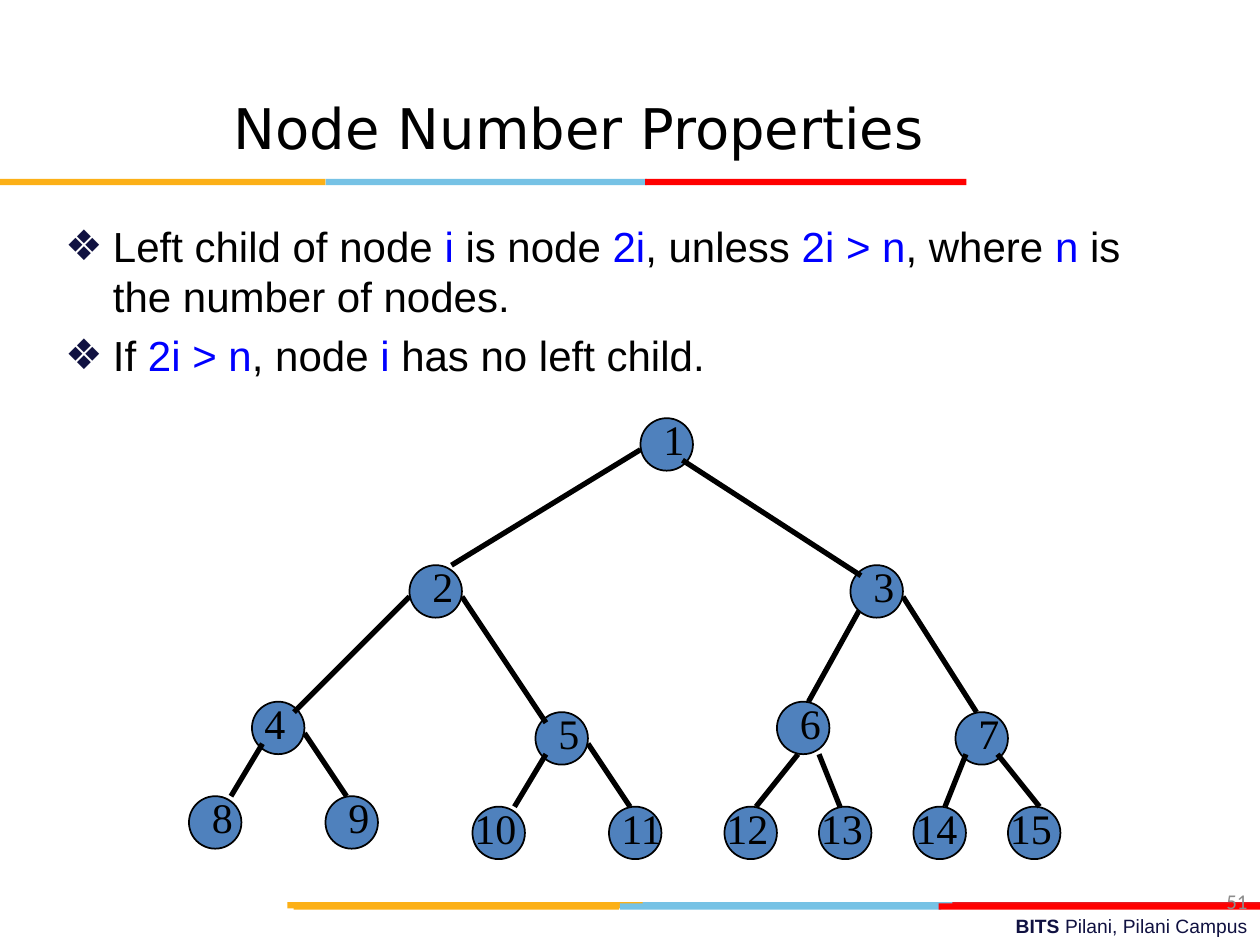
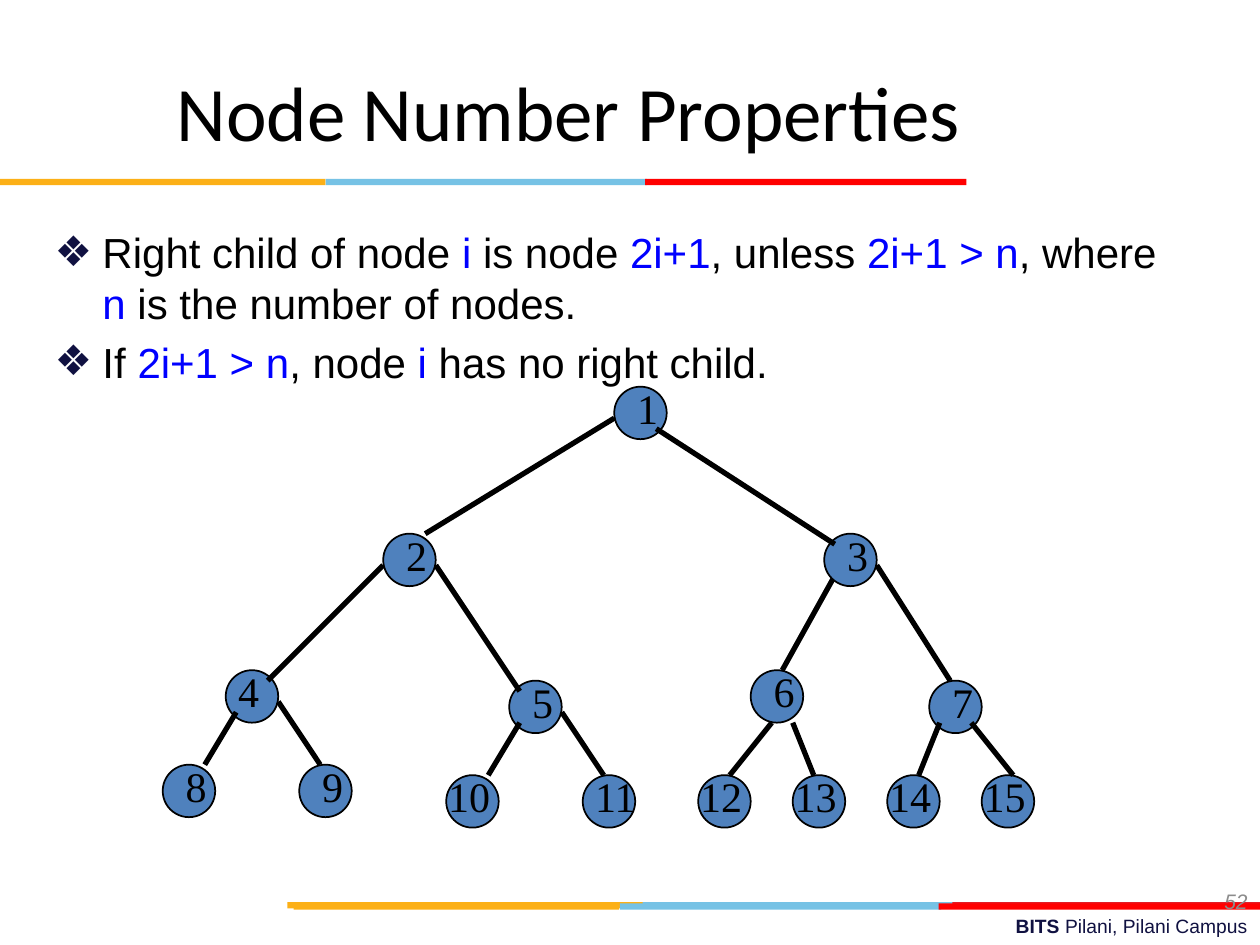
from dataclasses import dataclass

from lxml import etree
from pptx import Presentation
from pptx import util as u
from pptx.dml.color import RGBColor
from pptx.enum import shapes, text
from pptx.oxml.ns import qn

COLS, ROWS = 120, 90
CELL = u.Inches(10) / COLS
AMBER, SKY, RED, CRIMSON = "FCB017", "76C2E5", "FF0000", "E31C24"
NAVY, BLACK, BLUE, GREY, NODE_FILL = "101141", "000000", "0000FF", "8C8C8C", "4F81BD"
NODE_SIZE = 5
STRIP_HEIGHT = 0.6


@dataclass(frozen=True)
class Strip:
    col: float
    row: float
    width: float
    color: str


@dataclass(frozen=True)
class Node:
    col: float
    row: float
    label_shift: float = 1
    entry: tuple = (0, 0)
    exits: tuple = ()


@dataclass(frozen=True)
class Page:
    number: str
    number_font: str
    number_italic: bool
    title_font: str
    title_size: float
    title_at: tuple
    body_at: tuple
    side: str
    child: str
    tree_at: tuple


STRIPS = (
    Strip(60.72, 85.92, 30.6, SKY),
    Strip(90.72, 85.92, 29.28, CRIMSON),
    Strip(27.36, 85.92, 33.84, AMBER),
    Strip(59.04, 86.04, 30.6, SKY),
    Strip(27.96, 86.04, 31, AMBER),
    Strip(89.4, 86.04, 30.6, RED),
    Strip(31, 17.04, 30.6, SKY),
    Strip(0, 17.04, 31, AMBER),
    Strip(61.44, 17.04, 30.6, RED),
)

NODES = {
    1: Node(61, 40, exits=((0, 3), (4, 4))),
    2: Node(39, 54, entry=(4, 0), exits=((0, 3), (5, 3))),
    3: Node(81, 54, entry=(1, 1), exits=((1, 4), (5, 3))),
    4: Node(24, 67, 0, entry=(4, 1), exits=((1, 4), (5, 3))),
    5: Node(51, 68, entry=(1, 1), exits=((1, 4), (5, 3))),
    6: Node(74, 67, entry=(3, 0), exits=((2, 5), (4, 5))),
    7: Node(91, 68, entry=(2, 0), exits=((1, 4), (4, 4))),
    8: Node(18, 76, entry=(4, 0)),
    9: Node(31, 76, entry=(2, 0)),
    10: Node(45, 77, -1, entry=(4, 0)),
    11: Node(58, 77, 0, entry=(2, 0)),
    12: Node(69, 77, -1, entry=(3, 0)),
    13: Node(78, 77, -1, entry=(2, 0)),
    14: Node(87, 77, -1, entry=(3, 0)),
    15: Node(96, 77, -1, entry=(3, 0)),
}

LAYERS = (
    (range(4, 8), range(2, 4)),
    (range(1, 4), range(1, 2)),
    (range(8, 16), range(4, 8)),
)

PAGES = (
    Page("51", "Calibri", False, "DejaVu Sans", 32, (5, 6.12), (5, 20.4),
         "Left", "2i", (0, -0.17)),
    Page("52", "Arial", True, "Calibri", 44, (4, 4.56), (4, 21),
         "Right", "2i+1", (-2.5, -3.17)),
)


def grid(*cells: float) -> list:
    return [u.Emu(round(c * CELL)) for c in cells]


def rgb(color: str) -> RGBColor:
    return RGBColor.from_string(color)


def style(r, font: str, size: float, color: str, bold: bool = False, italic: bool = False) -> None:
    r.font.name, r.font.size = font, u.Pt(size)
    r.font.bold, r.font.italic = bold, italic
    r.font.color.rgb = rgb(color)


def place(sp, col: float, row: float, width: float, height: float) -> None:
    sp.left, sp.top, sp.width, sp.height = grid(col, row, width, height)


def add_filled(parent, kind, at: tuple, color: str):
    sp = parent.add_shape(kind, *grid(*at))
    sp.shadow.inherit = False
    sp.fill.solid()
    sp.fill.fore_color.rgb = rgb(color)
    sp.line.fill.background()
    return sp


def add_text(parent, at: tuple, align=text.PP_ALIGN.LEFT, anchor=text.MSO_ANCHOR.TOP):
    tf = parent.add_textbox(*grid(*at)).text_frame
    tf.word_wrap = True
    tf.vertical_anchor = anchor
    p = tf.paragraphs[0]
    p.alignment = align
    return p


def add_run(p, words: str, font: str, size: float, color: str, **look: bool) -> None:
    r = p.add_run()
    r.text = words
    style(r, font, size, color, **look)


def add_furniture(s, page: Page) -> None:
    for strip in STRIPS:
        at = (strip.col, strip.row, strip.width, STRIP_HEIGHT)
        add_filled(s.shapes, shapes.MSO_SHAPE.RECTANGLE, at, strip.color)
    p = add_text(s.shapes, (43, 86.5, 77, 3.5), text.PP_ALIGN.RIGHT)
    add_run(p, "BITS ", "Arial", 11, NAVY, bold=True)
    add_run(p, "Pilani, Pilani Campus", "Arial", 11, NAVY)
    p = add_text(s.shapes, (92, 83.4, 28, 4.8), text.PP_ALIGN.RIGHT, text.MSO_ANCHOR.MIDDLE)
    add_run(p, page.number, page.number_font, 12, GREY, italic=page.number_italic)


def set_title(s, page: Page) -> None:
    sp = s.shapes.title
    place(sp, *page.title_at, 102, 12)
    tf = sp.text_frame
    tf.text = "Node Number Properties "
    tf.auto_size = text.MSO_AUTO_SIZE.NONE
    tf.vertical_anchor = text.MSO_ANCHOR.MIDDLE
    p = tf.paragraphs[0]
    p.alignment = text.PP_ALIGN.CENTER
    style(p.runs[0], page.title_font, page.title_size, BLACK)


def add_bullet(p) -> None:
    pPr = p._p.get_or_add_pPr()
    hang = u.Inches(0.38)
    pPr.set("marL", str(hang))
    pPr.set("indent", str(-hang))
    clr = etree.SubElement(pPr, qn("a:buClr"))
    etree.SubElement(clr, qn("a:srgbClr")).set("val", NAVY)
    etree.SubElement(pPr, qn("a:buFont")).set("typeface", "Arial")
    etree.SubElement(pPr, qn("a:buChar")).set("char", "❖")


def set_body(s, page: Page) -> None:
    sp = s.placeholders[1]
    place(sp, *page.body_at, 108, 59.4)
    tf = sp.text_frame
    tf.auto_size = text.MSO_AUTO_SIZE.NONE
    rules = (
        f"{page.side} child of node |i |is node |{page.child}|, unless "
        f"|{page.child} > n|, where |n| is the number of nodes.",
        f"If |{page.child} > n|, node |i| has no {page.side.lower()} child.",
    )
    for i, rule in enumerate(rules):
        p = tf.add_paragraph() if i else tf.paragraphs[0]
        add_bullet(p)
        p.space_before = u.Pt(4.8 if i else 0)
        for j, words in enumerate(rule.split("|")):
            add_run(p, words, "Arial", 24, BLUE if j % 2 else BLACK)


def add_edge(parent, start: tuple, end: tuple) -> None:
    line = parent.add_connector(shapes.MSO_CONNECTOR.STRAIGHT, *grid(*start, *end))
    line.line.color.rgb = rgb(BLACK)
    line.line.width = u.Pt(3)
    etree.SubElement(line._element.spPr, qn("a:effectLst"))


def add_tree(s, origin: tuple) -> None:
    parent = s.shapes.add_group_shape().shapes

    def point(node: Node, shift: tuple = (0, 0)) -> tuple:
        return origin[0] + node.col + shift[0], origin[1] + node.row + shift[1]

    for numbers, parents in LAYERS:
        for n in numbers:
            at = (*point(NODES[n]), NODE_SIZE, NODE_SIZE)
            sp = add_filled(parent, shapes.MSO_SHAPE.OVAL, at, NODE_FILL)
            sp.line.color.rgb = rgb(BLACK)
            sp.line.width = u.Pt(1)
        for n in parents:
            for child, leave in enumerate(NODES[n].exits, 2 * n):
                node = NODES[child]
                add_edge(parent, point(NODES[n], leave), point(node, node.entry))
    for n, node in NODES.items():
        at = (*point(node, (node.label_shift, -1)), 4 * len(str(n)), 6)
        add_run(add_text(parent, at), str(n), "Times New Roman", 24, BLACK)


def main() -> None:
    prs = Presentation()
    prs.slide_width, prs.slide_height = grid(COLS, ROWS)
    for page in PAGES:
        s = prs.slides.add_slide(prs.slide_layouts[1])
        add_furniture(s, page)
        set_title(s, page)
        set_body(s, page)
        add_tree(s, page.tree_at)
    prs.save("out.pptx")


if __name__ == "__main__":
    main()
